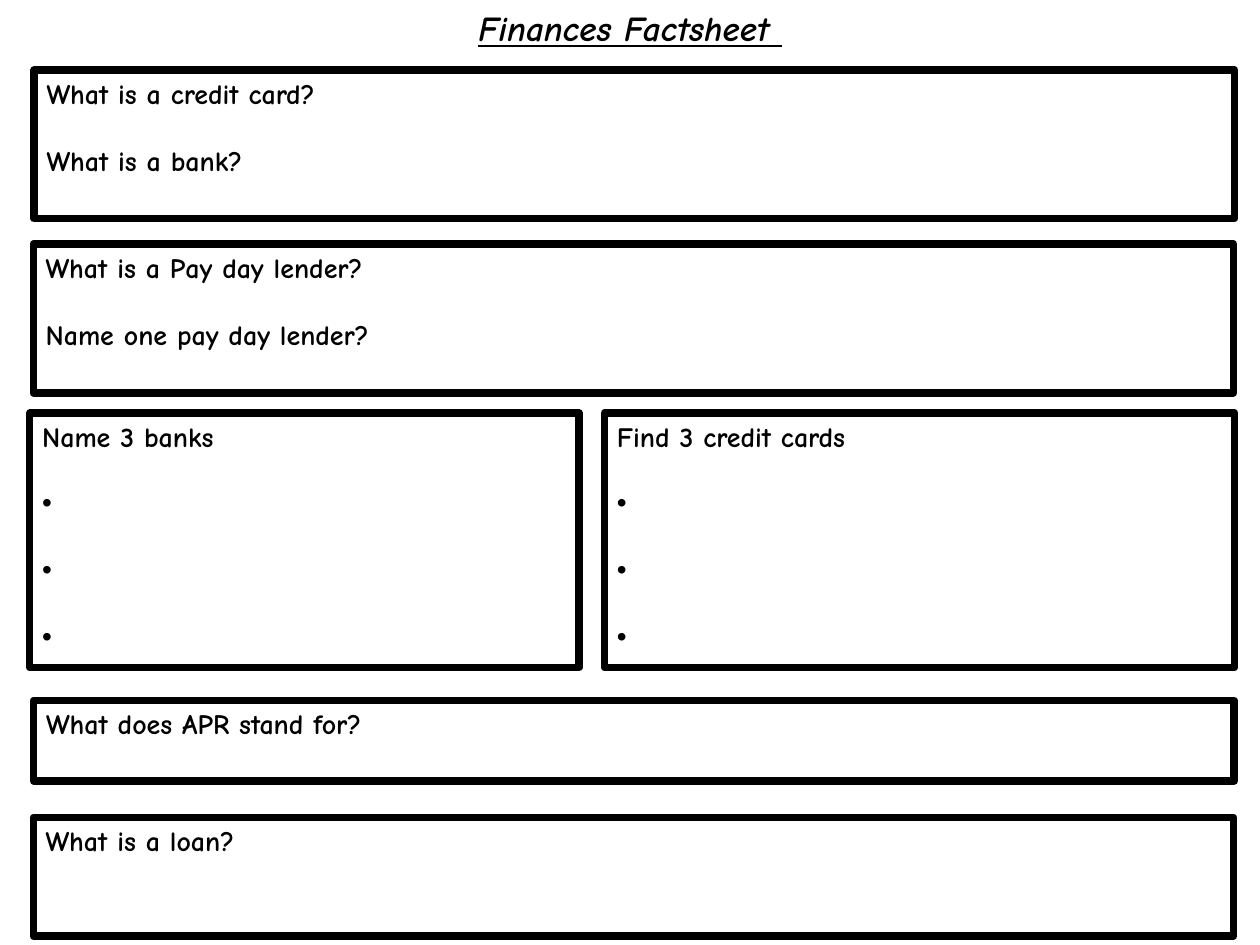
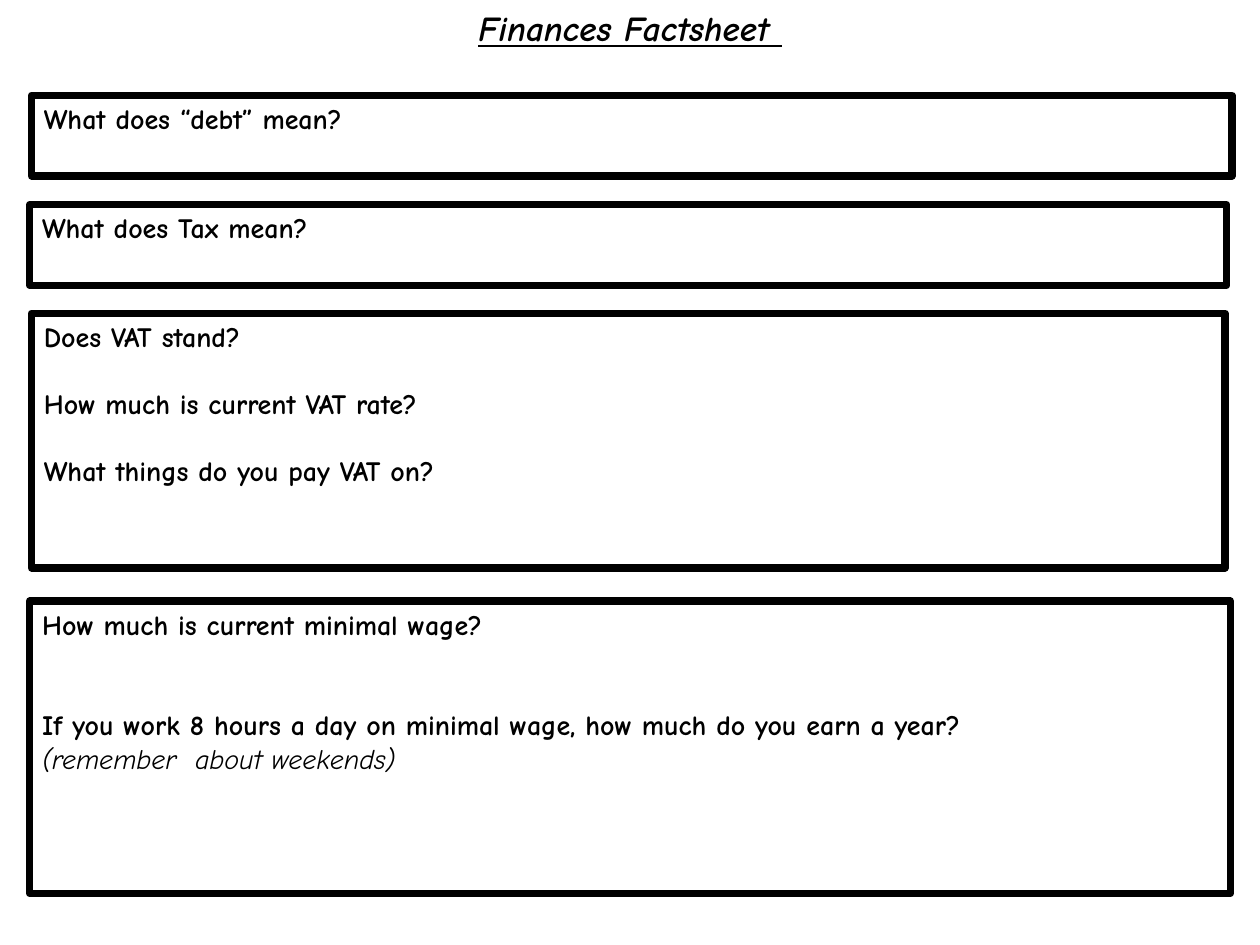
from lxml import etree
from pptx import Presentation
from pptx.dml.color import RGBColor
from pptx.enum import shapes, text
from pptx.oxml import ns
from pptx.util import Pt

BLACK = RGBColor(0, 0, 0)
FONT = "Comic Neue"
LINE = 19.15  # height of one written line, left free for the pupil's answer
WIDE = 686
ONE_LINE, TWO_LINES, FOUR_LINES = 46, 85, 145.5
INDENT = 22.5

TITLE = {"name": FONT, "size": Pt(20), "bold": True, "italic": True, "underline": True}
QUESTION = {"name": FONT, "size": Pt(16), "bold": True}
HINT = {"name": FONT, "size": Pt(16), "bold": False, "italic": True}
FRAME = {"word_wrap": True, "auto_size": text.MSO_AUTO_SIZE.NONE,
         "vertical_anchor": text.MSO_ANCHOR.TOP,
         "margin_left": Pt(7.2), "margin_right": Pt(7.2),
         "margin_top": Pt(3.6), "margin_bottom": Pt(3.6)}

BULLET = " "
ANSWERS = [(BULLET, 1, QUESTION)] * 3

# Each box: left, top, width, height, then (wording, free lines above, format)
FACTSHEETS = [
    [
        (19.5, 40, WIDE, TWO_LINES, [("What is a credit card?", 0, QUESTION),
                                     ("What is a bank?", 1, QUESTION)]),
        (19, 139.5, WIDE, TWO_LINES, [("What is a Pay day lender?", 0, QUESTION),
                                      ("Name one pay day lender?", 1, QUESTION)]),
        (17, 236, 314, FOUR_LINES, [("Name 3 banks", 0, QUESTION)] + ANSWERS),
        (345.5, 236, 360, FOUR_LINES, [("Find 3 credit cards", 0, QUESTION)] + ANSWERS),
        (19.25, 400.25, WIDE, ONE_LINE, [("What does APR stand for?", 0, QUESTION)]),
        (19, 467, WIDE, 68, [("What is a loan?", 0, QUESTION)]),
    ],
    [
        (18, 54.5, WIDE, ONE_LINE, [("What does “debt” mean?", 0, QUESTION)]),
        (17, 117, 684, ONE_LINE, [("What does Tax mean?", 0, QUESTION)]),
        (18, 179, 682, FOUR_LINES, [("Does VAT stand?", 0, QUESTION),
                                    ("How much is current VAT rate?", 1, QUESTION),
                                    ("What things do you pay VAT on?", 1, QUESTION)]),
        (17, 343.5, WIDE, 167, [
            ("How much is current minimal wage?", 0, QUESTION),
            ("If you work 8 hours a day on minimal wage, how much do you earn a year?",
             2, QUESTION),
            ("(remember  about weekends)", 0, HINT)]),
    ],
]


def place(shape, left, top, width, height):
    """Position a shape, in points, and give its text frame the shared settings."""
    shape.left, shape.top, shape.width, shape.height = map(Pt, (left, top, width, height))
    for name, value in FRAME.items():
        setattr(shape.text_frame, name, value)


def write(para, wording, look, align, free_lines=0):
    para.alignment = align
    para.space_before = Pt(round(free_lines * LINE, 2))
    span = para.add_run()
    span.text = wording
    for name, value in look.items():
        setattr(span.font, name, value)
    span.font.color.rgb = BLACK


deck = Presentation()
deck.slide_width, deck.slide_height = Pt(720), Pt(540)
title_only = deck.slide_layouts[5]

for boxes in FACTSHEETS:
    page = deck.slides.add_slide(title_only)
    title = page.shapes.title
    place(title, 0, 0, 720, 31.5)
    write(title.text_frame.paragraphs[0], "Finances Factsheet ", TITLE, text.PP_ALIGN.CENTER)

    for left, top, width, height, questions in boxes:
        box = page.shapes.add_shape(shapes.MSO_SHAPE.RECTANGLE, 0, 0, 0, 0)
        place(box, left, top, width, height)
        box.shadow.inherit = False
        box.fill.background()
        box.line.color.rgb = BLACK
        box.line.width = Pt(4.25)

        for number, (wording, free_lines, look) in enumerate(questions):
            frame = box.text_frame
            para = frame.add_paragraph() if number else frame.paragraphs[0]
            write(para, wording, look, text.PP_ALIGN.LEFT, free_lines)
            if wording == BULLET:
                props = para._p.get_or_add_pPr()
                props.set("marL", str(Pt(INDENT)))
                props.set("indent", str(-Pt(INDENT)))
                etree.SubElement(props, ns.qn("a:buFont"), typeface="Arial")
                etree.SubElement(props, ns.qn("a:buChar"), char="•")

deck.save("out.pptx")
